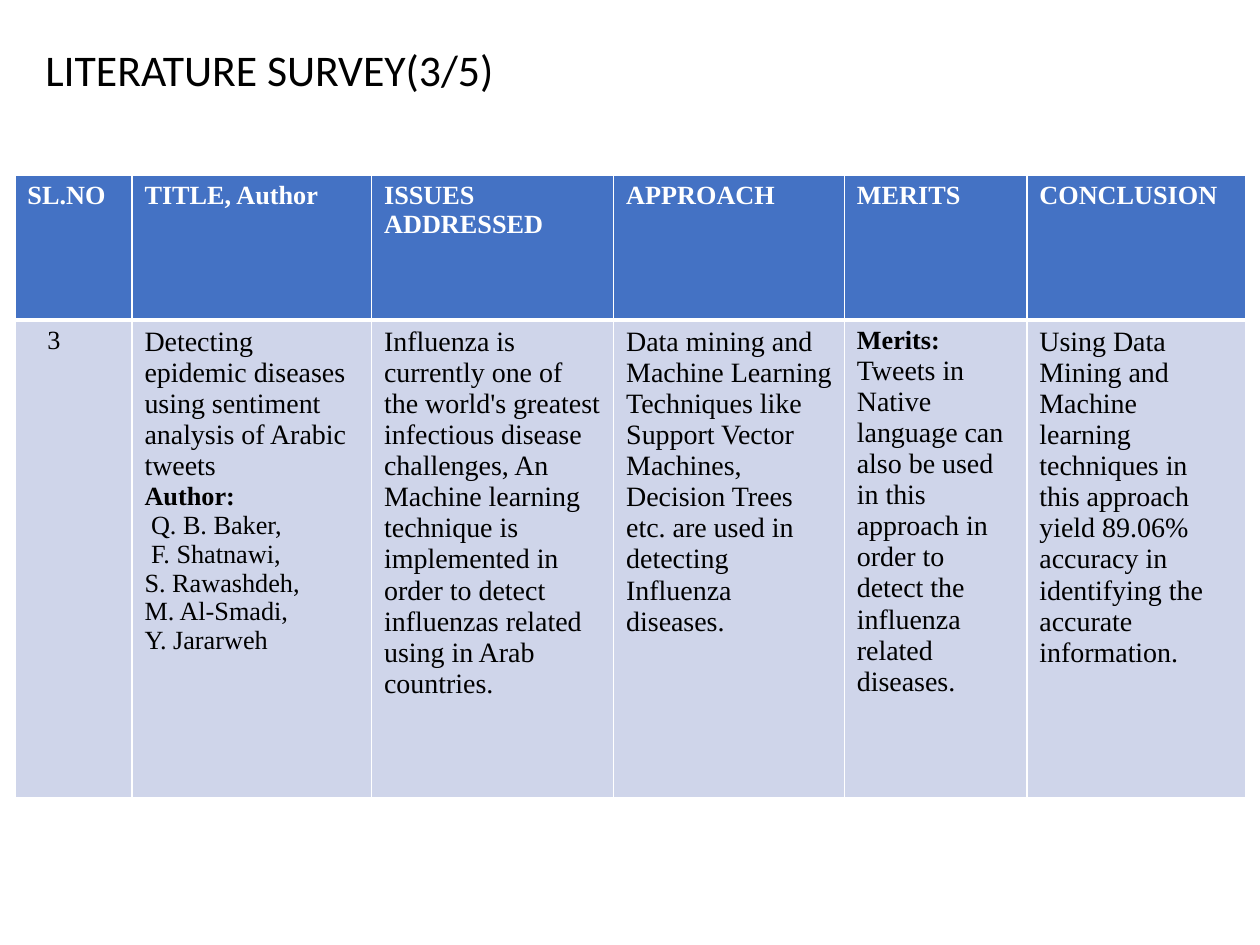
from lxml.etree import SubElement
from pptx import Presentation
from pptx.dml.color import RGBColor
from pptx.enum.text import MSO_ANCHOR, PP_ALIGN
from pptx.oxml.ns import qn
from pptx.util import Cm, Pt

WHITE = RGBColor(0xFF, 0xFF, 0xFF)
BLACK = RGBColor(0, 0, 0)
HEADER_BLUE = RGBColor(0x44, 0x72, 0xC4)
BODY_BLUE = RGBColor(0xCF, 0xD5, 0xEA)

COLUMN_WIDTHS = [2.36, 4.83, 4.88, 4.65, 3.68, 4.42]
ROW_HEIGHTS = [2.92, 9.63]
HEADINGS = ["SL.NO", "TITLE, Author", "ISSUES ADDRESSED", "APPROACH", "MERITS", "CONCLUSION"]
LABEL = {"size": 15, "bold": True}
AUTHOR = {"size": 15}
INDENTED_AUTHOR = {"size": 15, "indent": 0.13}
SURVEY_ENTRY = [
    [("3", {"size": 15, "indent": 0.4})],
    [
        ("Detecting epidemic diseases using sentiment analysis of Arabic tweets", {}),
        ("Author:", LABEL),
        ("Q. B. Baker,", INDENTED_AUTHOR),
        ("F. Shatnawi,", INDENTED_AUTHOR),
        ("S. Rawashdeh,", AUTHOR),
        ("M. Al-Smadi,", AUTHOR),
        ("Y. Jararweh", AUTHOR),
    ],
    [("Influenza is currently one of the world's greatest infectious disease challenges, "
      "An Machine learning technique is implemented in order to detect influenzas related "
      "using in Arab countries.", {})],
    [("Data mining and Machine Learning Techniques like Support Vector Machines, "
      "Decision Trees etc. are used in detecting Influenza diseases.", {})],
    [
        ("Merits:", LABEL),
        ("Tweets in Native language can also be used in this approach in order to detect "
         "the influenza related diseases.", {}),
    ],
    [("Using Data Mining and Machine learning techniques in this approach yield 89.06% "
      "accuracy in identifying the accurate information.", {})],
]


def write(paragraph, text, font="Times New Roman", size=16, bold=False, color=BLACK, indent=0):
    paragraph.alignment = PP_ALIGN.LEFT
    if indent:
        properties = paragraph._p.get_or_add_pPr()
        properties.set("marL", str(int(Cm(indent))))
        properties.set("indent", "0")
    run = paragraph.add_run()
    run.text = text
    run.font.name = font
    run.font.size = Pt(size)
    run.font.bold = bold
    run.font.color.rgb = color


class SurveySlide:
    def __init__(self, presentation):
        self.slide = presentation.slides.add_slide(presentation.slide_layouts[5])
        self.border_color = WHITE

    def title(self, text, left, top, width, height):
        heading = self.slide.shapes.title
        heading.left, heading.top = Cm(left), Cm(top)
        heading.width, heading.height = Cm(width), Cm(height)
        heading.text_frame.word_wrap = True
        heading.text_frame.vertical_anchor = MSO_ANCHOR.MIDDLE
        write(heading.text_frame.paragraphs[0], text, font="Calibri", size=25)

    def borders(self, cell, **widths):
        properties = cell._tc.get_or_add_tcPr()
        for position, side in enumerate("LRTB"):
            line = SubElement(properties, qn(f"a:ln{side}"), w=str(int(Pt(widths.get(side, 1)))))
            fill = SubElement(line, qn("a:solidFill"))
            SubElement(fill, qn("a:srgbClr"), val=str(self.border_color))
            properties.insert(position, line)

    def cell(self, cell, paragraphs, fill, **widths):
        cell.fill.solid()
        cell.fill.fore_color.rgb = fill
        self.borders(cell, **widths)
        frame = cell.text_frame
        for number, (text, style) in enumerate(paragraphs):
            paragraph = frame.add_paragraph() if number else frame.paragraphs[0]
            write(paragraph, text, **style)

    def table(self, headings, entry, left, top):
        survey = self.slide.shapes.add_table(
            2, len(headings), Cm(left), Cm(top), Cm(sum(COLUMN_WIDTHS)), Cm(sum(ROW_HEIGHTS))
        ).table
        for column, width in zip(survey.columns, COLUMN_WIDTHS):
            column.width = Cm(width)
        for row, height in zip(survey.rows, ROW_HEIGHTS):
            row.height = Cm(height)
        for index, (heading, paragraphs) in enumerate(zip(headings, entry)):
            header = [(heading, {**LABEL, "color": WHITE})]
            self.cell(survey.cell(0, index), header, HEADER_BLUE, B=3)
            self.cell(survey.cell(1, index), paragraphs, BODY_BLUE, T=3)


def main():
    presentation = Presentation()
    presentation.slide_width = Cm(25.4)
    presentation.slide_height = Cm(19.05)
    survey = SurveySlide(presentation)
    survey.table(HEADINGS, SURVEY_ENTRY, left=0.3, top=3.53)
    survey.title("LITERATURE SURVEY(3/5)", left=0.66, top=0.74, width=21.79, height=1.32)
    presentation.save("out.pptx")


if __name__ == "__main__":
    main()
